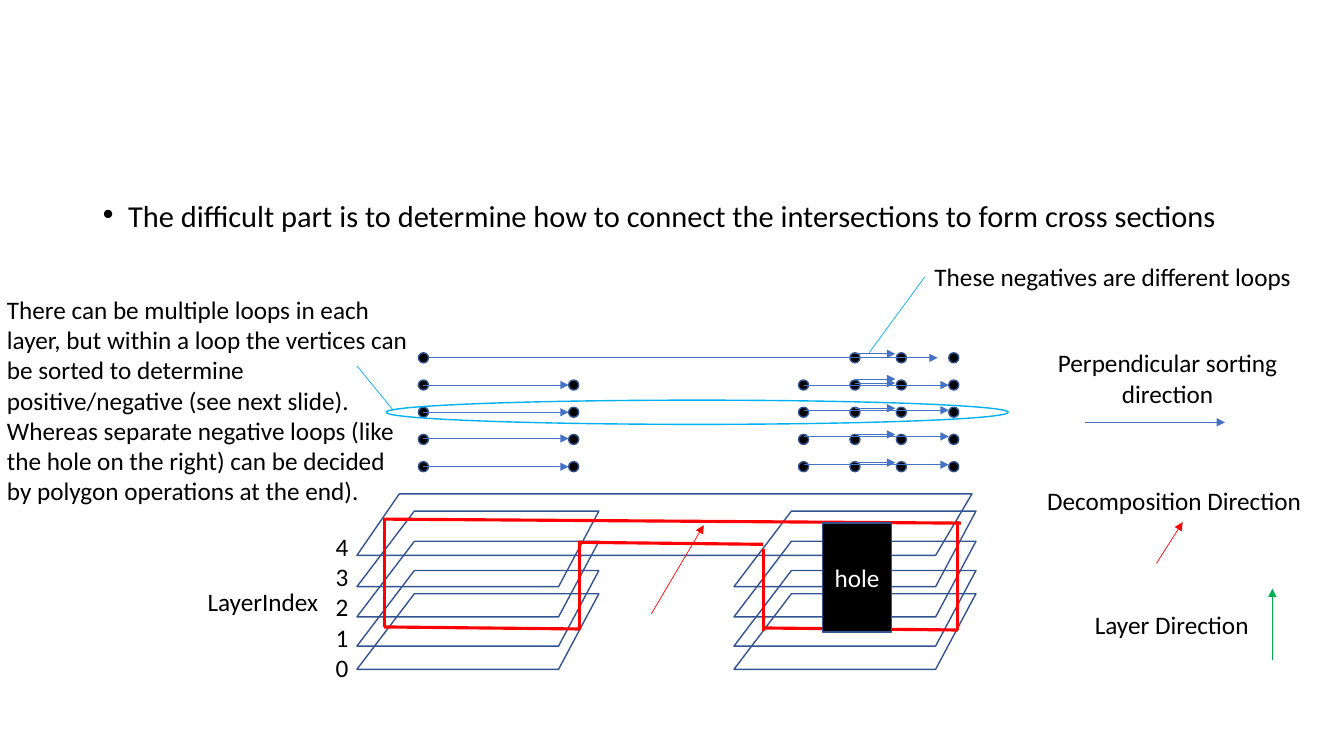
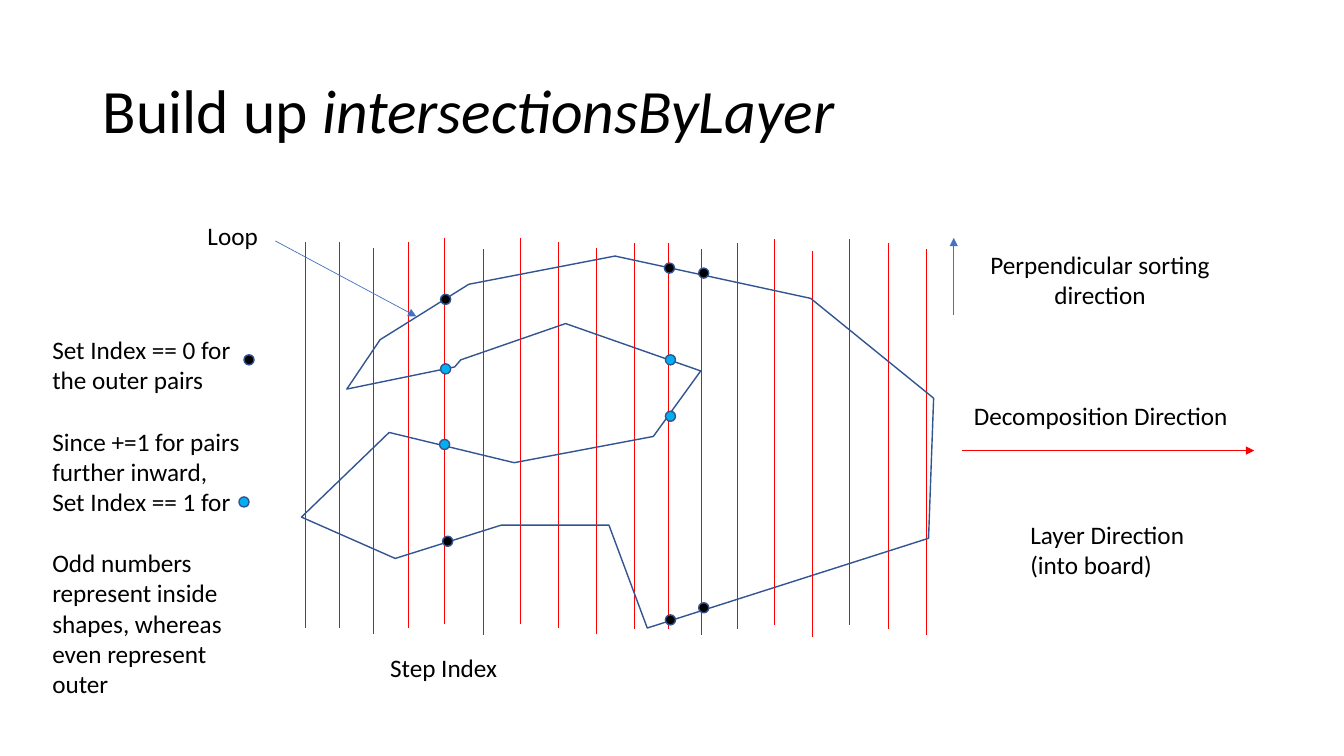
import typing

import lxml.etree
import pptx
import pptx.dml.color
import pptx.enum.shapes
import pptx.enum.text
import pptx.oxml.ns
import pptx.util

BLACK = pptx.dml.color.RGBColor(0x00, 0x00, 0x00)
WHITE = pptx.dml.color.RGBColor(0xFF, 0xFF, 0xFF)
NAVY = pptx.dml.color.RGBColor(0x32, 0x54, 0x91)
BLUE = pptx.dml.color.RGBColor(0x44, 0x72, 0xC4)
SKY = pptx.dml.color.RGBColor(0x00, 0xB0, 0xF0)
RED = pptx.dml.color.RGBColor(0xFF, 0x00, 0x00)
GREEN = pptx.dml.color.RGBColor(0x00, 0xB0, 0x50)

KIND = pptx.enum.shapes.MSO_SHAPE
ALIGN = pptx.enum.text.PP_ALIGN
ANCHOR = pptx.enum.text.MSO_ANCHOR
AUTO = pptx.enum.text.MSO_AUTO_SIZE
POINT = pptx.util.Pt

WIDTH, HEIGHT = pptx.util.Inches(13.33), pptx.util.Inches(7.5)
COLUMN, ROW = WIDTH / 13.33, HEIGHT / 7.5
DOT = 0.1
BODY_FONT = {"name": "Calibri", "size": POINT(18)}
BULLET_FONT = {"name": "Calibri", "size": POINT(21.7)}
TITLE_FONT = {"name": "Calibri", "size": POINT(44)}


class Box(typing.NamedTuple):
    """Hold a region in grid columns and rows."""

    left: float
    top: float
    width: float
    height: float

    def inner(self, left, top, width, height):
        """Return a region placed relative to this one."""
        return Box(self.left + left, self.top + top, width, height)

    def point(self, across, down):
        """Return a position inside this region in slide units."""
        return round((self.left + across) * COLUMN), round((self.top + down) * ROW)

    def frame(self):
        """Return the region in slide units."""
        return *self.point(0, 0), round(self.width * COLUMN), round(self.height * ROW)


def apply(target, values):
    """Set every attribute named in a dict of format values."""
    for name, value in values.items():
        setattr(target, name, value)


def add_span(para, text, font, color=BLACK):
    """Add formatted text to a paragraph."""
    span = para.add_run()
    span.text = text
    apply(span.font, font)
    span.font.color.rgb = color


def add_text(page, box, lines, wrap=False, align=ALIGN.LEFT, gaps=()):
    """Add a text box, with a line of space before the paragraphs in gaps."""
    frame = page.shapes.add_textbox(*box.frame()).text_frame
    apply(frame, {"word_wrap": wrap, "auto_size": AUTO.SHAPE_TO_FIT_TEXT})
    for index, line in enumerate(lines):
        para = frame.add_paragraph() if index else frame.paragraphs[0]
        para.alignment = align
        if index in gaps:
            para.space_before = POINT(22)
        add_span(para, line, BODY_FONT)


def finish(shape, fill=None, line=NAVY):
    """Give a shape its fill and outline."""
    shape.shadow.inherit = False
    if fill is None:
        shape.fill.background()
    else:
        shape.fill.solid()
        shape.fill.fore_color.rgb = fill
    shape.line.color.rgb = line
    shape.line.width = POINT(1)


def add_dot(page, box, across, down, fill=BLACK):
    """Add an intersection dot inside a region."""
    spot = box.inner(across, down, DOT, DOT)
    finish(page.shapes.add_shape(KIND.FLOWCHART_CONNECTOR, *spot.frame()), fill)


def add_outline(page, box, points):
    """Add a closed unfilled polygon inside a region."""
    corners = [box.point(*point) for point in points]
    builder = page.shapes.build_freeform(*corners[0], scale=1.0)
    builder.add_line_segments(corners[1:], close=True)
    finish(builder.convert_to_shape())


def add_line(page, box, start, end, color, weight=0.5, arrow=False):
    """Add a straight line or arrow inside a region."""
    straight = pptx.enum.shapes.MSO_CONNECTOR.STRAIGHT
    line = page.shapes.add_connector(straight, *box.point(*start), *box.point(*end))
    line.line.color.rgb = color
    line.line.width = POINT(weight)
    properties = line.element.spPr
    qualify = pptx.oxml.ns.qn
    if arrow:
        outline = properties.find(qualify("a:ln"))
        lxml.etree.SubElement(outline, qualify("a:tailEnd"), type="triangle")
    lxml.etree.SubElement(properties, qualify("a:effectLst"))


def place_holder(holder, box, anchor):
    """Move a placeholder and return its first paragraph."""
    names = ("left", "top", "width", "height")
    apply(holder, dict(zip(names, box.frame())))
    apply(holder.text_frame, {"word_wrap": True, "auto_size": AUTO.NONE,
                              "vertical_anchor": anchor})
    para = holder.text_frame.paragraphs[0]
    para.alignment = ALIGN.LEFT
    return para


def bullet_text(page, box):
    """Write the bullet in the body placeholder."""
    para = place_holder(page.placeholders[1], box, ANCHOR.TOP)
    apply(para, {"line_spacing": 0.7, "space_before": POINT(10)})
    add_span(para, "The difficult part is to determine how to connect the "
             "intersections to form cross sections", BULLET_FONT)
    properties = para._p.get_or_add_pPr()
    indent = round(COLUMN / 4)
    properties.set("marL", str(indent))
    properties.set("indent", str(-indent))
    lxml.etree.SubElement(properties, pptx.oxml.ns.qn("a:buChar"), char="\u2022")


def layer_planes(page, box):
    """Draw two stacks of layers under the shared top layer."""
    for left in (0, 3.74):
        for top in (0.99, 0.76, 0.47, 0.17):
            plane = box.inner(left, top, 2.4, 0.75)
            add_outline(page, plane, [(2.4, 0), (0.57, 0), (0, 0.75), (2, 0.75)])
    add_outline(page, box, [(0, 0.61), (5.74, 0.61), (6.1, 0), (0.42, 0)])


def cross_section(page, box):
    """Draw the red section with its arrow and the hole."""
    edges = [
        ((0, 0.01), (5.72, 0.05)), ((5.69, 0.03), (5.69, 1.11)),
        ((1.93, 0.24), (3.76, 0.26)), ((3.76, 0.31), (3.76, 1.12)),
        ((3.76, 1.09), (5.69, 1.11)), ((0, 1.08), (1.93, 1.1)),
        ((1.94, 0.23), (1.94, 1.11)), ((0, 0), (0, 1.08)),
    ]
    for start, end in edges:
        add_line(page, box, start, end, RED, 2.25)
    add_line(page, box, (2.65, 0.95), (3.17, 0.07), RED, arrow=True)
    hole = page.shapes.add_shape(KIND.RECTANGLE, *box.inner(4.35, 0.05, 0.68, 1.08).frame())
    finish(hole, BLACK)
    hole.text_frame.vertical_anchor = ANCHOR.MIDDLE
    para = hole.text_frame.paragraphs[0]
    para.alignment = ALIGN.CENTER
    add_span(para, "hole", BODY_FONT, WHITE)


def intersections(page, box):
    """Draw the sorted intersection dots and their arrows by layer."""
    pitch = 0.27
    for across, first in ((0, 0), (1.49, 1), (3.77, 1), (4.28, 0), (4.74, 0), (5.26, 0)):
        for row in range(first, 5):
            add_dot(page, box, across, row * pitch)
    groups = [
        (0.05, 1.49, (0.32, 0.59, 0.85, 1.13)),
        (3.82, 5.26, (0.32, 0.57, 0.83, 1.11)),
        (4.33, 4.73, (0.01, 0.26, 0.3, 0.55, 0.81, 1.09)),
        (0.1, 5.15, (0.05,)),
    ]
    for start, end, rows in groups:
        for down in rows:
            add_line(page, box, (start, down), (end, down), BLUE, arrow=True)
    ring = page.shapes.add_shape(KIND.OVAL, *box.inner(-0.32, 0.47, 6.17, 0.24).frame())
    finish(ring, line=SKY)


def layer_labels(page, box):
    """Number the layers."""
    add_text(page, box.inner(1.27, 0, 0.33, 1.92), "43210")
    add_text(page, box.inner(0, 0.55, 1.31, 0.4), ["LayerIndex"])


def loop_notes(page, box):
    """Write the two notes on loops and their leader lines."""
    add_line(page, box, (8.65, 0.96), (9.2, 0.21), SKY)
    add_text(page, box.inner(9.2, 0, 3.77, 0.4),
             ["These negatives are different loops"], wrap=True)
    add_line(page, box, (3.93, 1.53), (3.57, 1.09), SKY)
    add_text(page, box.inner(0, 0.33, 4.18, 2.22), [
        "There can be multiple loops in each layer, but within a loop the vertices "
        "can be sorted to determine positive/negative (see next slide). Whereas "
        "separate negative loops (like the hole on the right) can be decided by "
        "polygon operations at the end)."], wrap=True)


def directions(page, box, labels, arrows):
    """Write the direction labels and draw their arrows."""
    for place, lines, wrap, align in labels:
        add_text(page, box.inner(*place), lines, wrap, align)
    for start, end, color in arrows:
        add_line(page, box, start, end, color, arrow=True)


def step_lines(page, box):
    """Draw the vertical step lines and their label."""
    steps = [
        (0.04, 0.04), (0.38, 0.04), (0.71, 0.1), (1.06, 0.04), (1.42, 0), (1.8, 0.11),
        (2.17, 0), (2.55, 0.04), (2.93, 0.1), (3.3, 0.05), (3.64, 0.05), (3.97, 0.11),
        (4.32, 0.05), (4.69, 0.01), (5.07, 0.13), (5.43, 0.01), (5.82, 0.05), (6.2, 0.11),
    ]
    for across, top in steps:
        add_line(page, box, (across, top), (across, top + 3.83), RED)
    add_text(page, box.inner(0.78, 4.06, 1.28, 0.4), ["Step Index"])


def loop_outline(page, box):
    """Draw the loop with its label and paired intersections."""
    add_outline(page, box, [
        (3.11, 0), (1.66, 0.28), (0.78, 0.83), (0.45, 1.32), (1.52, 1.1), (1.58, 1.03),
        (2.62, 0.67), (3.96, 1.14), (3.49, 1.79), (2.11, 2.05), (0.87, 1.75), (0, 2.59),
        (0.93, 3), (1.98, 2.67), (3.05, 2.67), (3.43, 3.69), (6.22, 2.8), (6.27, 1.41),
        (5.05, 0.42)])
    add_line(page, box, (-0.26, -0.15), (1.14, 0.6), BLUE, arrow=True)
    add_text(page, box.inner(-1.03, -0.4, 0.77, 0.4), ["Loop"])
    outside = [(1.4, 2.78), (1.38, 0.38), (3.94, 3.44), (3.94, 0.12), (3.61, 3.56), (3.6, 0.07)]
    inside = [(1.38, 1.07), (1.37, 1.82), (3.61, 1.54), (3.61, 0.98)]
    for fill, spots in ((BLACK, outside), (SKY, inside)):
        for across, down in spots:
            add_dot(page, box, across, down, fill)


def set_index_notes(page, box):
    """Explain the set index beside its dot keys."""
    add_dot(page, box, 1.95, 1.66, SKY)
    add_dot(page, box, 2, 0.25)
    add_text(page, box, [
        "Set Index == 0 for the outer pairs", "Since +=1 for pairs further inward,",
        "Set Index == 1 for",
        "Odd numbers represent inside shapes, whereas even represent outer"],
        wrap=True, gaps=(1, 3))


def connection_slide(deck):
    """Build the slide on connecting intersections."""
    page = deck.slides.add_slide(deck.slide_layouts[1])
    title = page.shapes.title.element
    title.getparent().remove(title)
    bullet_text(page, Box(0.92, 2, 11.5, 0.53))
    layer_planes(page, Box(3.54, 4.9, 6.1, 1.74))
    cross_section(page, Box(3.81, 5.14, 5.72, 1.13))
    layer_labels(page, Box(1.96, 5.22, 1.6, 1.92))
    intersections(page, Box(4.15, 3.5, 5.36, 1.17))
    loop_notes(page, Box(-0.03, 2.54, 12.97, 2.55))
    directions(page, Box(10.27, 3.4, 2.75, 3.15), [
        ((0, 1.37, 2.75, 0.71), ["Decomposition Direction"], False, ALIGN.CENTER),
        ((0, 0, 2.62, 0.71), ["Perpendicular sorting direction"], True, ALIGN.CENTER),
        ((0.49, 2.6, 1.75, 0.4), ["Layer Direction"], False, ALIGN.LEFT),
    ], [((2.35, 3.15), (2.35, 2.44), GREEN), ((0.49, 0.79), (1.88, 0.79), BLUE),
        ((1.2, 2.19), (1.46, 1.78), RED)])


def index_slide(deck):
    """Build the slide on intersections by layer."""
    page = deck.slides.add_slide(deck.slide_layouts[5])
    para = place_holder(page.shapes.title, Box(0.92, 0.4, 11.5, 1.45), ANCHOR.MIDDLE)
    para.line_spacing = 0.9
    add_span(para, "Build up ", TITLE_FONT)
    add_span(para, "intersectionsByLayer", {**TITLE_FONT, "italic": True})
    step_lines(page, Box(2.99, 2.36, 6.2, 4.46))
    loop_outline(page, Box(2.99, 2.54, 6.27, 3.69))
    set_index_notes(page, Box(0.42, 3.27, 2.28, 3.74))
    directions(page, Box(9.46, 2.36, 2.98, 3.45), [
        ((0.1, 1.56, 2.85, 0.4), ["Decomposition Direction"], False, ALIGN.LEFT),
        ((0.14, 0.06, 2.62, 0.71), ["Perpendicular sorting direction"], True, ALIGN.CENTER),
        ((0.66, 2.74, 1.75, 0.71), ["Layer Direction", "(into board)"], False, ALIGN.LEFT),
    ], [((0.08, 2.11), (2.98, 2.11), RED), ((0, 0.77), (0, 0), BLUE)])


def main():
    """Build and save the deck."""
    deck = pptx.Presentation()
    apply(deck, {"slide_width": WIDTH, "slide_height": HEIGHT})
    connection_slide(deck)
    index_slide(deck)
    deck.save("out.pptx")


main()
